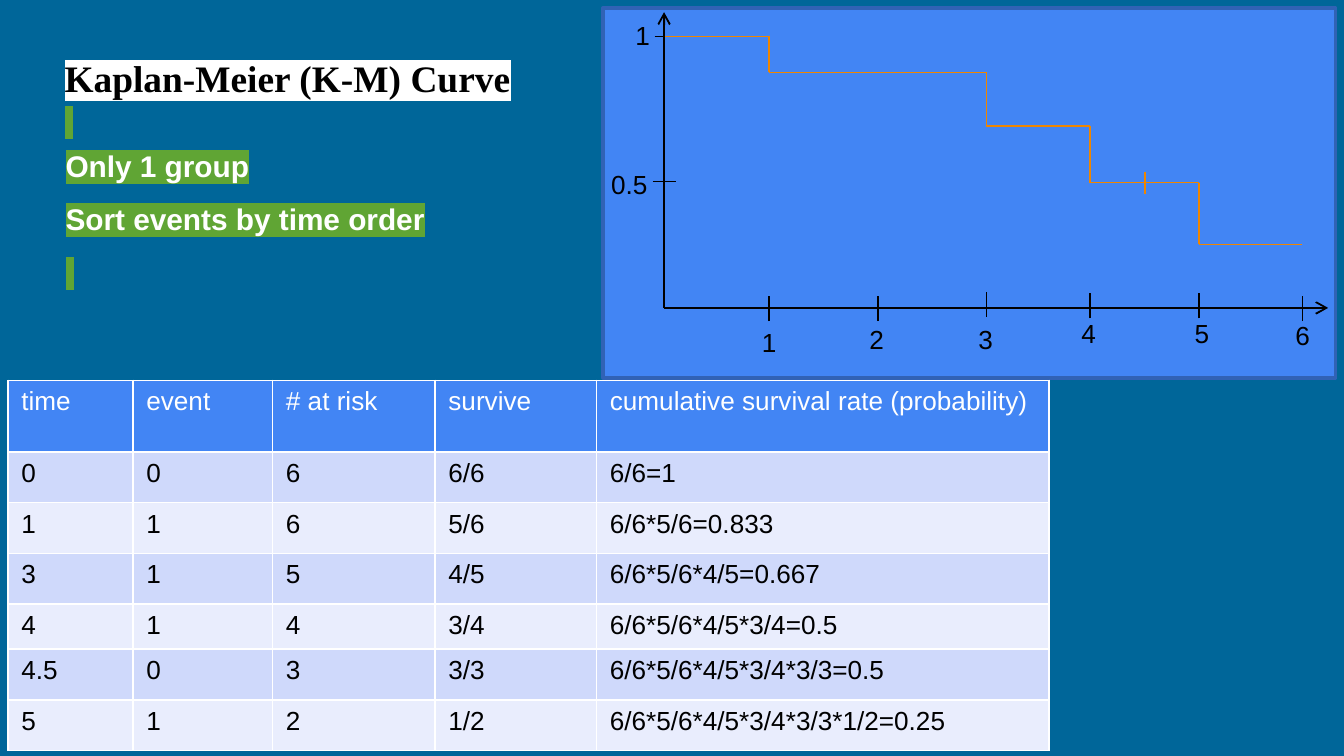
from itertools import pairwise

from lxml.etree import SubElement
from pptx import Presentation
from pptx.dml.color import RGBColor
from pptx.enum.shapes import MSO_CONNECTOR as Link, MSO_SHAPE as Shape
from pptx.enum.text import MSO_ANCHOR as Anchor, MSO_AUTO_SIZE as Fit, PP_ALIGN as Align
from pptx.oxml.ns import qn
from pptx.util import Cm, Pt

TEAL = RGBColor(0x00, 0x66, 0x99)
BLUE = RGBColor(0x42, 0x85, 0xF4)
EDGE = RGBColor(0x31, 0x62, 0xB5)
BLACK = RGBColor(0x00, 0x00, 0x00)
WHITE = RGBColor(0xFF, 0xFF, 0xFF)
GREEN = RGBColor(0x60, 0xA5, 0x34)
ORANGE = RGBColor(0xEF, 0x86, 0x00)
BANDS = [RGBColor(0xCF, 0xD9, 0xFB), RGBColor(0xE9, 0xED, 0xFD)]

TICKS = [
    (14.53, 5.59, "1", 14.15, 6.05),
    (16.59, 5.59, "2", 16.18, 5.99),
    (18.64, 5.51, "3", 18.24, 5.99),
    (20.6, 5.54, "4", 20.19, 5.87),
    (22.66, 5.54, "5", 22.33, 5.87),
    (24.61, 5.59, "6", 24.23, 5.92),
]
LEVELS = [
    (12.37, 0.69, "1", 11.76, 0.25, 0.79),
    (12.34, 3.43, "0.5", 11.3, 3.05, 1.19),
]
STEPS = [
    (12.57, 0.69), (14.53, 0.69), (14.53, 1.37), (18.64, 1.37), (18.64, 2.38),
    (20.6, 2.38), (20.6, 3.45), (22.66, 3.45), (22.66, 4.62), (24.61, 4.62),
]
ROWS = [
    ("time", "event", "# at risk", "survive", "cumulative survival rate (probability)"),
    ("0", "0", "6", "6/6", "6/6=1"),
    ("1", "1", "6", "5/6", "6/6*5/6=0.833"),
    ("3", "1", "5", "4/5", "6/6*5/6*4/5=0.667"),
    ("4", "1", "4", "3/4", "6/6*5/6*4/5*3/4=0.5"),
    ("4.5", "0", "3", "3/3", "6/6*5/6*4/5*3/4*3/3=0.5"),
    ("5", "1", "2", "1/2", "6/6*5/6*4/5*3/4*3/3*1/2=0.25"),
]
WIDTHS = [2.36, 2.64, 3.07, 3.05, 8.56]
HEIGHTS = [1.35, 0.96, 0.96, 0.96, 0.79, 0.96, 0.96]


def style(font, size, color, bold=False, name="Arial"):
    font.size = Pt(size)
    font.bold = bold
    font.name = name
    font.color.rgb = color


def mark(run, color):
    tag = SubElement(run._r.get_or_add_rPr(), qn("a:highlight"))
    SubElement(tag, qn("a:srgbClr")).set("val", str(color))


def add_line(slide, start, end, color=BLACK, width=0.75, arrow=False):
    line = slide.shapes.add_connector(Link.STRAIGHT, *map(Cm, start + end))
    line.line.color.rgb = color
    line.line.width = Pt(width)
    if arrow:
        SubElement(line.line._get_or_add_ln(), qn("a:tailEnd")).set("type", "arrow")
    SubElement(line._element.spPr, qn("a:effectLst"))


def add_label(slide, text, left, top, width=0.79):
    box = slide.shapes.add_textbox(Cm(left), Cm(top), Cm(width), Cm(0.86))
    frame = box.text_frame
    frame.word_wrap = False
    frame.auto_size = Fit.SHAPE_TO_FIT_TEXT
    frame.text = text
    style(frame.paragraphs[0].font, 14, BLACK)


def set_frame(frame):
    frame.word_wrap = True
    frame.auto_size = Fit.SHAPE_TO_FIT_TEXT
    frame.vertical_anchor = Anchor.TOP
    frame.margin_left = frame.margin_right = Cm(0.25)
    frame.margin_top = frame.margin_bottom = Cm(0.25)


def set_para(para):
    para.alignment = Align.LEFT
    para.line_spacing = 1.07
    para.space_after = Pt(8)


def add_title(slide):
    title = slide.shapes.title
    title.left, title.top = Cm(0.97), Cm(0.74)
    title.width, title.height = Cm(8.94), Cm(2.39)
    set_frame(title.text_frame)
    para = title.text_frame.paragraphs[0]
    set_para(para)
    head, tail = para.add_run(), para.add_run()
    head.text, tail.text = "Kaplan-Meier (K-M) Curve ", " "
    mark(head, WHITE)
    mark(tail, GREEN)
    style(head.font, 20, BLACK, True, "Times New Roman")
    style(tail.font, 16, WHITE)


def add_notes(slide):
    box = slide.shapes.add_textbox(Cm(0.99), Cm(2.49), Cm(9.27), Cm(4.24))
    frame = box.text_frame
    set_frame(frame)
    frame.text = "Only 1 group\nSort events by time order\n "
    for para in frame.paragraphs:
        set_para(para)
        style(para.font, 16, WHITE, True)
        mark(para.runs[0], GREEN)


def add_plot(slide):
    panel = slide.shapes.add_shape(Shape.RECTANGLE, Cm(11.4), Cm(0.15), Cm(13.84), Cm(6.99))
    panel.shadow.inherit = False
    panel.fill.solid()
    panel.fill.fore_color.rgb = BLUE
    panel.line.color.rgb = EDGE
    panel.line.width = Pt(2)
    for end in [(25.1, 5.82), (12.55, 0.23)]:
        add_line(slide, (12.55, 5.82), end, width=1, arrow=True)
    for x, y, text, left, top in TICKS:
        add_line(slide, (x, y + 0.48), (x, y))
        add_label(slide, text, left, top)
    for x, y, text, left, top, width in LEVELS:
        add_line(slide, (x, y), (x + 0.43, y))
        add_label(slide, text, left, top, width)
    for start, end in pairwise(STEPS):
        add_line(slide, start, end, ORANGE)
    add_line(slide, (21.64, 3.25), (21.64, 3.66), ORANGE)


def add_rates(slide):
    table = slide.shapes.add_table(
        len(ROWS), len(WIDTHS), Cm(0.15), Cm(7.19), Cm(sum(WIDTHS)), Cm(sum(HEIGHTS))
    ).table
    for col, width in zip(table.columns, WIDTHS):
        col.width = Cm(width)
    for i, (row, height, texts) in enumerate(zip(table.rows, HEIGHTS, ROWS)):
        row.height = Cm(height)
        for cell, text in zip(row.cells, texts):
            cell.text = text
            cell.fill.solid()
            cell.fill.fore_color.rgb = BANDS[(i - 1) % 2] if i else BLUE
            style(cell.text_frame.paragraphs[0].font, 14, BLACK if i else WHITE)


def main():
    deck = Presentation()
    deck.slide_width, deck.slide_height = Cm(25.4), Cm(14.29)
    slide = deck.slides.add_slide(deck.slide_layouts[5])
    slide.background.fill.solid()
    slide.background.fill.fore_color.rgb = TEAL
    add_plot(slide)
    add_rates(slide)
    add_title(slide)
    add_notes(slide)
    deck.save("out.pptx")


if __name__ == "__main__":
    main()
